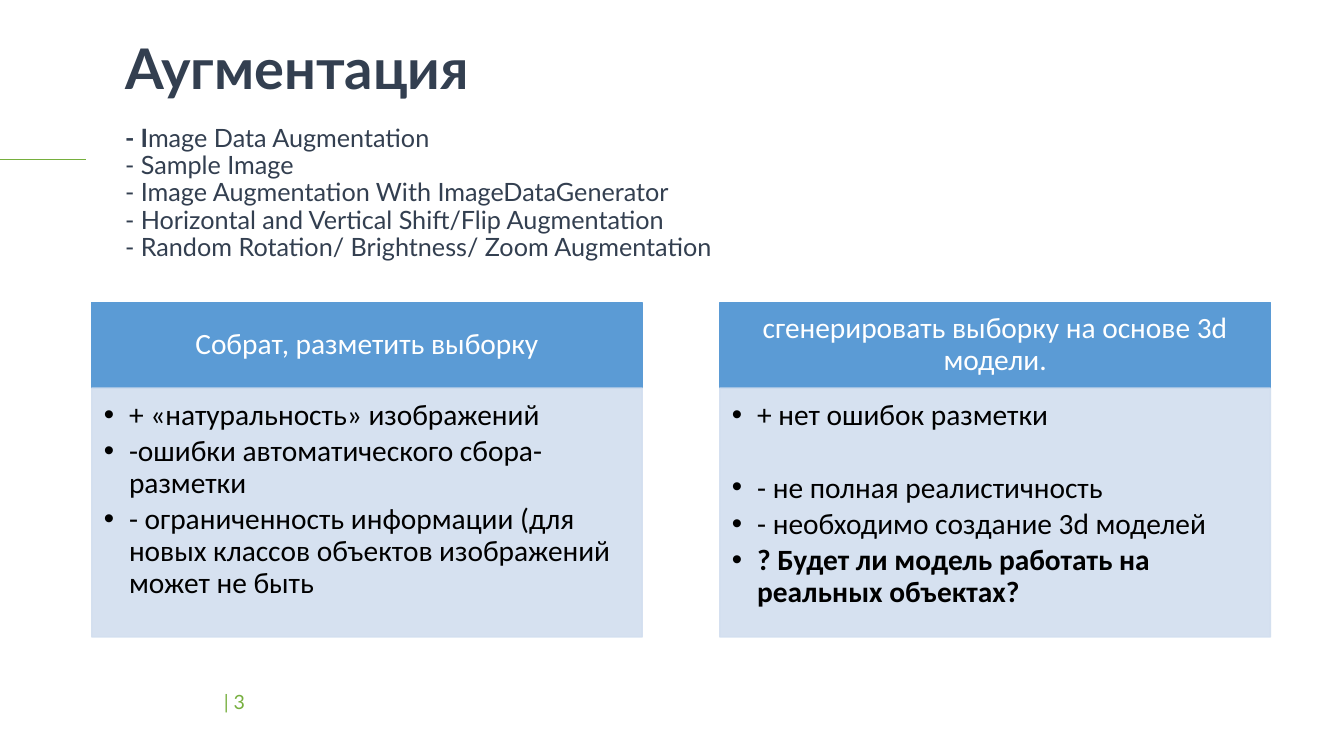
from lxml.etree import SubElement
from pptx import Presentation
from pptx.dml.color import RGBColor
from pptx.enum.shapes import MSO_CONNECTOR as Link, MSO_SHAPE as Kind
from pptx.enum.text import MSO_ANCHOR as Anchor, MSO_AUTO_SIZE as Fit, PP_ALIGN as Align
from pptx.oxml.ns import qn
from pptx.util import Inches, Pt

GREEN = RGBColor(0x76, 0xAF, 0x3E)
SLATE = RGBColor(0x33, 0x3F, 0x50)
BLUE = RGBColor(0x5B, 0x9B, 0xD5)
PALE = RGBColor(0xD2, 0xDE, 0xEF)
WHITE = RGBColor(0xFF, 0xFF, 0xFF)
BLACK = RGBColor(0, 0, 0)

TOPICS = [
    "- Image Data Augmentation",
    "- Sample Image",
    "- Image Augmentation With ImageDataGenerator",
    "- Horizontal and Vertical Shift/Flip Augmentation",
    "- Random Rotation/ Brightness/ Zoom Augmentation",
]
COLLECT = [
    "+ «натуральность» изображений",
    "-ошибки автоматического сбора- разметки",
    "- ограниченность информации (для новых классов объектов изображений может не быть",
]
RENDER = [
    "+ нет ошибок разметки",
    "- не полная реалистичность",
    "- необходимо создание 3d моделей",
    "? Будет ли модель работать на реальных объектах?",
]


def style(run, face, size, color, bold=False):
    font = run.font
    font.name, font.size, font.bold = face, Pt(size), bold
    font.color.rgb = color


def inset(frame, left, top, right, bottom):
    frame.margin_left, frame.margin_top = Inches(left), Inches(top)
    frame.margin_right, frame.margin_bottom = Inches(right), Inches(bottom)


def add_title(slide):
    title = slide.shapes.title
    title.left, title.top = Inches(1.14), Inches(0.36)
    title.width, title.height = Inches(11.55), Inches(2.7)
    frame = title.text_frame
    frame.auto_size = Fit.NONE
    frame.vertical_anchor = Anchor.TOP
    frame.text = "\n".join(["Аугментация"] + TOPICS)
    for i, para in enumerate(frame.paragraphs):
        para.alignment = Align.LEFT
        para.line_spacing = 0.9
        style(para.runs[0], "Lato", 18 if i else 40, SLATE, i == 0)
    head, first = frame.paragraphs[:2]
    head.space_after = Pt(17)

    # Bold start of the first topic
    lead = first.runs[0]
    lead.text = TOPICS[0][:3]
    lead.font.bold = True
    rest = first.add_run()
    rest.text = TOPICS[0][3:]
    style(rest, "Lato", 18, SLATE)


def add_panel(slide, left, top, height, color):
    box = slide.shapes.add_shape(
        Kind.RECTANGLE, Inches(left), Inches(top), Inches(5.46), Inches(height))
    box.shadow.inherit = False
    box.fill.solid()
    box.fill.fore_color.rgb = color
    box.line.color.rgb = color
    box.line.width = Pt(1)
    box.text_frame.word_wrap = True
    return box


def fade(box, percent):
    for tone in box._element.spPr.iter(qn("a:srgbClr")):
        SubElement(tone, qn("a:alpha"), val=str(percent * 1000))


def add_bullet(para):
    props = para._p.get_or_add_pPr()
    props.set("marL", str(Inches(0.25)))
    props.set("indent", str(-Inches(0.25)))
    SubElement(props, qn("a:buFont"), typeface="Arial")
    SubElement(props, qn("a:buChar"), char="•")


def add_column(slide, left, head, points):
    # Heading
    frame = add_panel(slide, left, 3, 0.85, BLUE).text_frame
    inset(frame, 0.16, 0.09, 0.16, 0.09)
    frame.vertical_anchor = Anchor.MIDDLE
    frame.text = head
    para = frame.paragraphs[0]
    para.alignment = Align.CENTER
    para.line_spacing = 0.9
    style(para.runs[0], "Calibri", 21, WHITE)

    # Points
    body = add_panel(slide, left, 3.85, 2.47, PALE)
    fade(body, 90)
    frame = body.text_frame
    inset(frame, 0.12, 0.12, 0.16, 0.18)
    frame.vertical_anchor = Anchor.TOP
    frame.text = "\n".join(points)
    for para, text in zip(frame.paragraphs, points):
        add_bullet(para)
        para.alignment = Align.LEFT
        para.line_spacing = 0.9
        para.space_after = Pt(3.15)
        style(para.runs[0], "Calibri", 21, BLACK, text.startswith("?"))
    return frame


def add_rule(slide):
    rule = slide.shapes.add_connector(
        Link.STRAIGHT, Inches(0), Inches(1.58), Inches(0.85), Inches(1.58))
    rule.line.color.rgb = GREEN
    rule.line.width = Pt(0.5)
    SubElement(rule._element.spPr, qn("a:effectLst"))


def add_number(slide):
    box = slide.shapes.add_textbox(
        Inches(2.22), Inches(6.76), Inches(0.92), Inches(0.4))
    frame = box.text_frame
    frame.word_wrap = True
    inset(frame, 0, 0, 0, 0)
    frame.vertical_anchor = Anchor.MIDDLE
    frame.text = "| 3"
    style(frame.paragraphs[0].runs[0], "Lato", 14, GREEN)


def main():
    deck = Presentation()
    deck.slide_width, deck.slide_height = Inches(13.33), Inches(7.5)
    slide = deck.slides.add_slide(deck.slide_layouts[5])
    add_rule(slide)
    add_number(slide)
    add_title(slide)

    # Two ways to get the data
    add_column(slide, 0.91, "Собрат, разметить выборку", COLLECT)
    frame = add_column(
        slide, 7.14, "сгенерировать выборку на основе 3d модели.", RENDER)
    frame.paragraphs[1].space_before = Pt(26)  # parts pros from cons
    deck.save("out.pptx")


if __name__ == "__main__":
    main()
